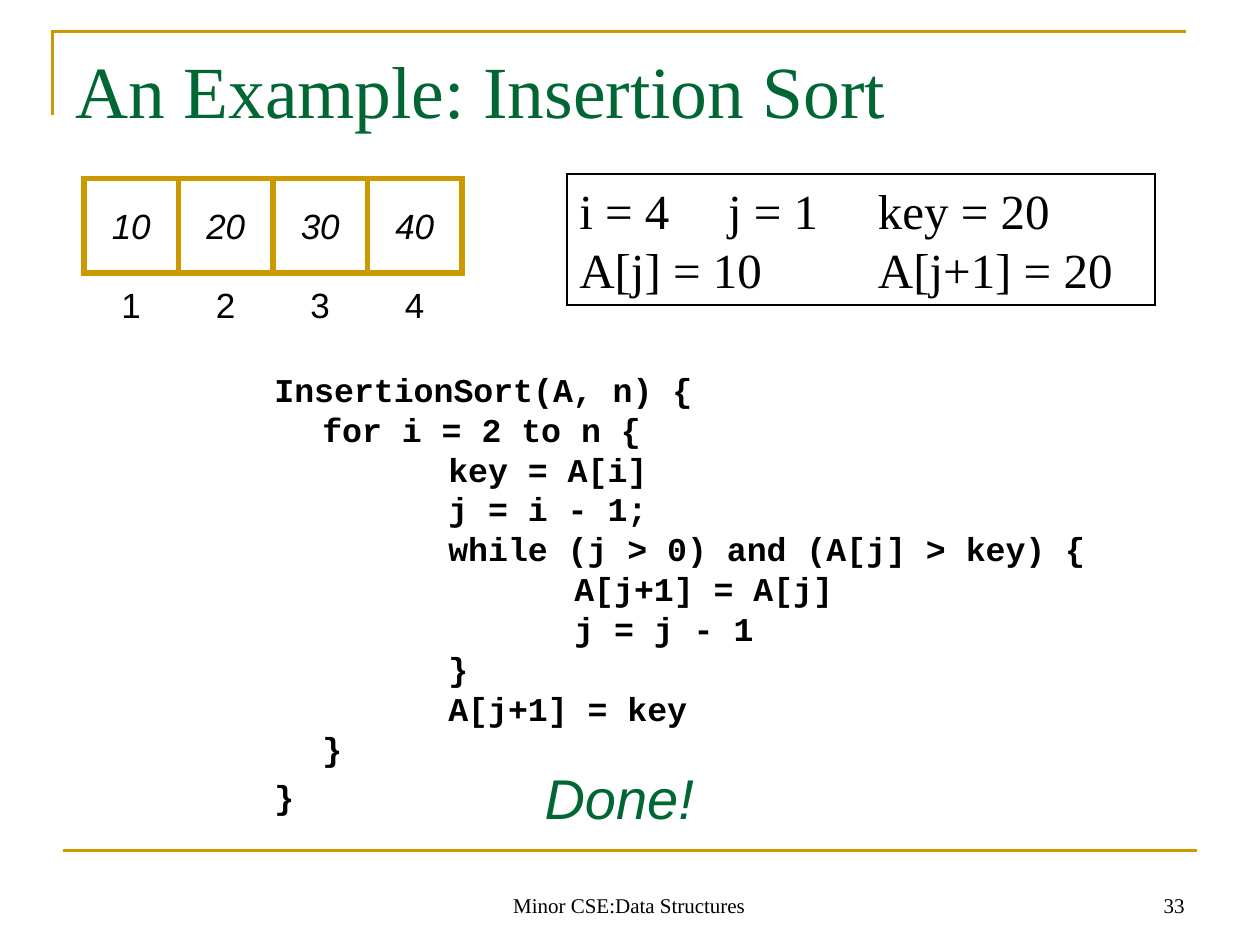
from lxml import etree
from pptx import Presentation
from pptx import util as u
from pptx.dml.color import RGBColor
from pptx.enum import shapes, text
from pptx.oxml.ns import qn

GOLD, GREEN, BLACK, WHITE = "CC9900", "006633", "000000", "FFFFFF"
SERIF, SANS, MONO = "Times New Roman", "Arial", "Courier New"
LEFT, CENTER, RIGHT = text.PP_ALIGN.LEFT, text.PP_ALIGN.CENTER, text.PP_ALIGN.RIGHT
TOP, MIDDLE, BOTTOM = text.MSO_ANCHOR.TOP, text.MSO_ANCHOR.MIDDLE, text.MSO_ANCHOR.BOTTOM

CODE = """InsertionSort(A, n) {
for i = 2 to n {
\tkey = A[i]
\tj = i - 1;
\twhile (j > 0) and (A[j] > key) {
\t\tA[j+1] = A[j]
\t\tj = j - 1
\t}
\tA[j+1] = key
}"""
STATUS = "i = 4\tj = 1\tkey = 20\nA[j] = 10\tA[j+1] = 20"


def rgb(color):
    return RGBColor.from_string(color)


def set_attrs(obj, values):
    for name, value in values.items():
        setattr(obj, name, value)


def set_line(sp, color, width):
    sp.line.color.rgb = rgb(color)
    sp.line.width = u.Pt(width)
    etree.SubElement(sp.line._get_or_add_ln(), qn("a:miter"), lim="800000")


def set_tabs(p, stops):
    tabs = etree.SubElement(p._p.get_or_add_pPr(), qn("a:tabLst"))
    for stop in stops:
        etree.SubElement(tabs, qn("a:tab"), pos=str(u.Inches(stop)), algn="l")


def set_indent(p, margin, tab_size=1):
    pPr = p._p.get_or_add_pPr()
    pPr.set("marL", str(u.Inches(margin)))
    pPr.set("indent", str(-u.Inches(margin)))
    pPr.set("defTabSz", str(u.Inches(tab_size)))


def write(sp, paragraphs, font, color, anchor=TOP, align=LEFT, wrap=True,
          top=0.05, tabs=(), margin=0, **para):
    tf = sp.text_frame
    set_attrs(tf, {"word_wrap": wrap, "vertical_anchor": anchor,
                   "margin_left": u.Inches(0.1), "margin_right": u.Inches(0.1),
                   "margin_top": u.Inches(top), "margin_bottom": u.Inches(0.05)})
    for i, words in enumerate(paragraphs):
        p = tf.add_paragraph() if i else tf.paragraphs[0]
        p.text = words
        if tabs:
            set_tabs(p, tabs)
        if margin:
            set_indent(p, margin)
        set_attrs(p, {"alignment": align, **para})
        for r in p.runs:
            set_attrs(r.font, font)
            r.font.color.rgb = rgb(color)
    return tf


def font(name, size, **style):
    return {"name": name, "size": u.Pt(size), **style}


def add_text(s, box, paragraphs, *args, **kwargs):
    sp = s.shapes.add_textbox(*map(u.Inches, box))
    return write(sp, paragraphs, *args, **kwargs)


def add_box(s, box, words, fmt, line=None, **kwargs):
    sp = s.shapes.add_shape(shapes.MSO_SHAPE.RECTANGLE, *map(u.Inches, box))
    sp.shadow.inherit = False
    sp.fill.solid()
    sp.fill.fore_color.rgb = rgb(WHITE)
    if line:
        set_line(sp, *line)
    else:
        sp.line.fill.background()
    write(sp, [words], fmt, BLACK, anchor=MIDDLE, **kwargs)


def add_rules(s):
    x, y = u.Inches(5 / 12), u.Inches(0.25)
    builder = s.shapes.build_freeform(x, u.Inches(11 / 12))
    builder.add_line_segments([(x, y), (x + u.Inches(9), y)], close=False)
    corner = builder.convert_to_shape()
    corner.shadow.inherit = False
    corner.fill.background()
    set_line(corner, GOLD, 1.5)
    base = s.shapes.add_connector(shapes.MSO_CONNECTOR.STRAIGHT,
                                  *map(u.Inches, (0.5, 6.75, 9.5, 6.75)))
    set_line(base, GOLD, 1.5)
    etree.SubElement(base._element.spPr, qn("a:effectLst"))


def add_array(s, values, left=2 / 3, top=17 / 12, size=0.75):
    for i, value in enumerate(values):
        x = left + i * size
        add_box(s, (x, top, size, size), str(value), font(SANS, 20, italic=True),
                line=(GOLD, 3), align=CENTER, wrap=False)
        add_box(s, (x, 2.25, size, 0.33), str(i + 1), font(SANS, 20),
                align=CENTER, wrap=False)


def add_code(s):
    tf = add_text(s, (2.08, 2.88, 7.42, 3.82), [CODE, "}"], font(MONO, 19, bold=True), BLACK,
                  margin=0.38, line_spacing=u.Pt(22.8))
    tf.paragraphs[1].space_before = u.Pt(4.8)


def main():
    prs = Presentation()
    prs.slide_width, prs.slide_height = u.Inches(10), u.Inches(7.5)
    s = prs.slides.add_slide(prs.slide_layouts[6])
    add_rules(s)
    add_text(s, (0.5, 0.3, 9, 1.25), ["An Example: Insertion Sort"],
             font(SERIF, 42), GREEN, top=0.06)
    add_code(s)
    small = font(SERIF, 12)
    add_text(s, (3.41, 6.83, 3.17, 0.5), ["Minor CSE:Data Structures"], small, BLACK,
             anchor=BOTTOM, align=CENTER)
    add_text(s, (7.17, 6.83, 2.33, 0.5), ["33"], small, BLACK, anchor=BOTTOM, align=RIGHT)
    add_array(s, [10, 20, 30, 40])
    add_box(s, (4.5, 1.38, 4.67, 1.04), STATUS, font(SERIF, 28), line=(BLACK, 1),
            tabs=(1.18, 2.37), line_spacing=u.Pt(33.6))
    add_text(s, (4.22, 6.01, 1.39, 0.64), ["Done!"], font(SANS, 32, italic=True), GREEN,
             anchor=MIDDLE, align=CENTER, wrap=False)
    prs.save("out.pptx")


if __name__ == "__main__":
    main()
